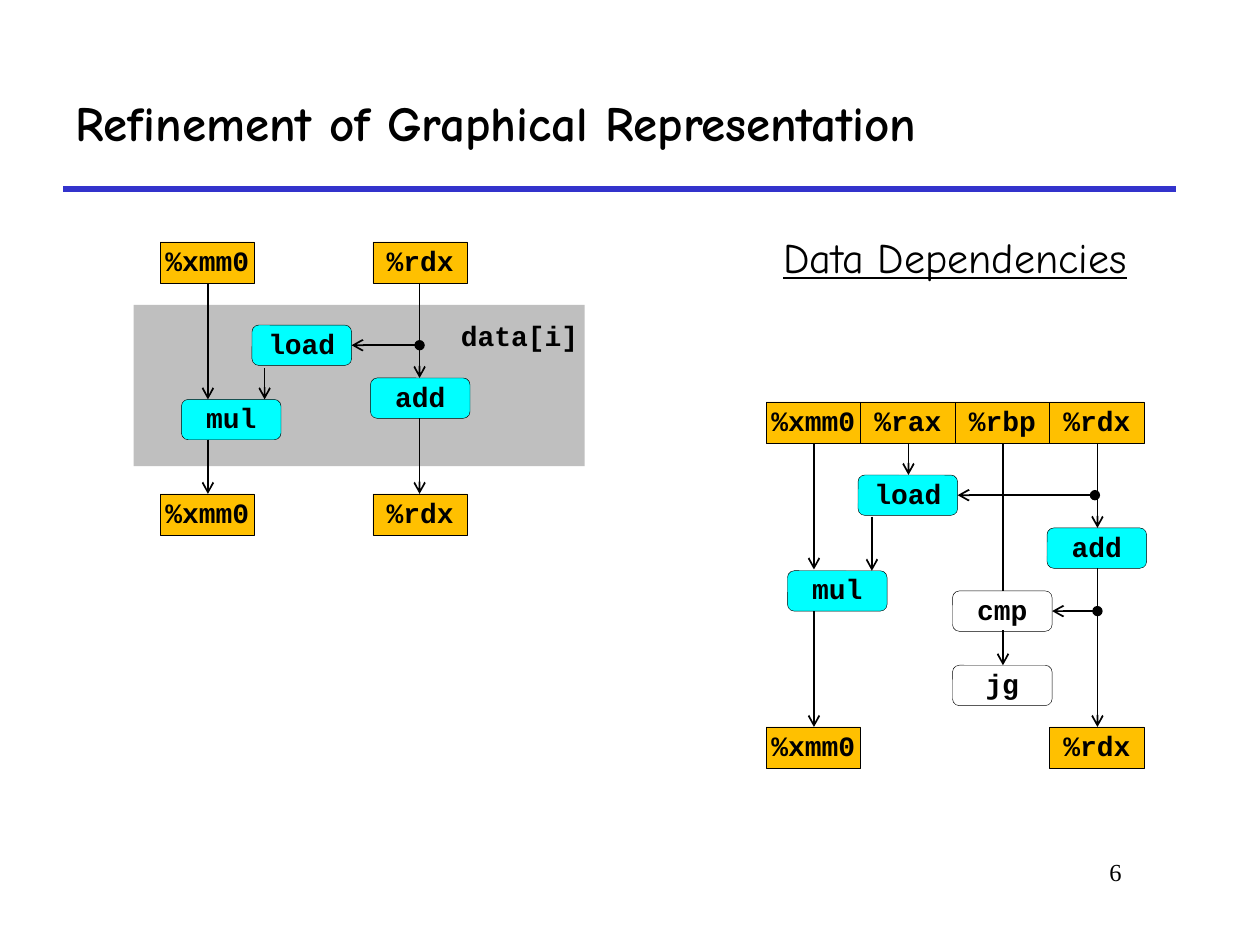
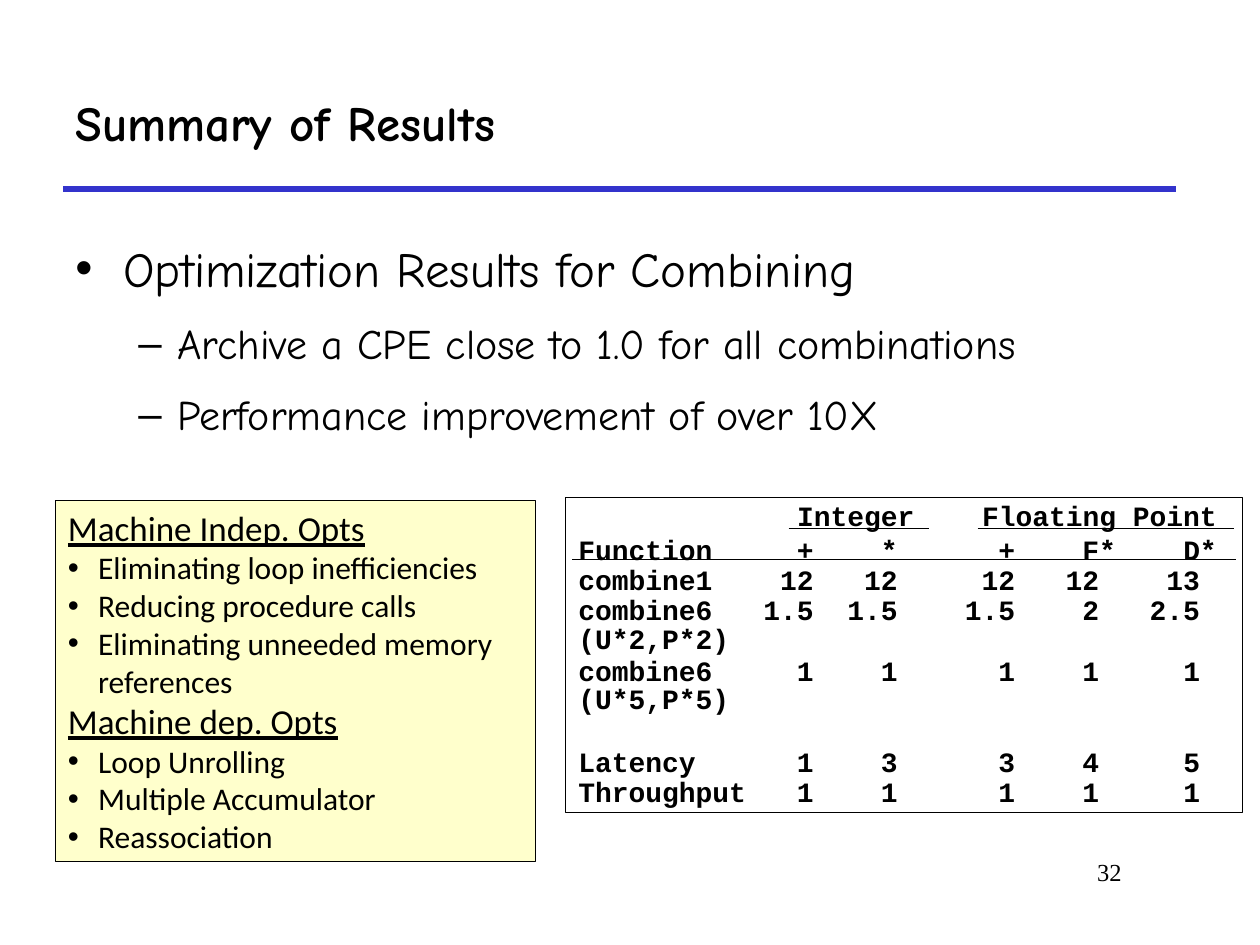
from dataclasses import dataclass
from typing import NamedTuple

from lxml import etree
from pptx import Presentation
from pptx.dml.color import RGBColor
from pptx.enum.shapes import MSO_CONNECTOR, MSO_SHAPE
from pptx.enum.text import MSO_ANCHOR, PP_ALIGN
from pptx.oxml.ns import qn
from pptx.util import Inches, Pt

STRAIGHT = MSO_CONNECTOR.STRAIGHT
RECTANGLE, ROUNDED = MSO_SHAPE.RECTANGLE, MSO_SHAPE.ROUNDED_RECTANGLE
TOP, MIDDLE = MSO_ANCHOR.TOP, MSO_ANCHOR.MIDDLE
LEFT, CENTER, RIGHT = PP_ALIGN.LEFT, PP_ALIGN.CENTER, PP_ALIGN.RIGHT


class TextStyle(NamedTuple):
    font: str
    size: int
    bold: bool = False
    underline: bool = False


class Theme:
    """Colours and text styles shared by the slides."""
    BLACK = RGBColor(0, 0, 0)
    WHITE = RGBColor(255, 255, 255)
    RULE = RGBColor(0x33, 0x33, 0xCC)
    REGISTER = RGBColor(0xFF, 0xC0, 0x00)
    OPERATION = RGBColor(0x00, 0xFF, 0xFF)
    BAND = RGBColor(0xBF, 0xBF, 0xBF)
    NOTE = RGBColor(0xFF, 0xFF, 0xCC)
    TITLE = TextStyle("Comic Neue", 28, bold=True)
    TOPIC = TextStyle("Comic Neue", 28)
    SUBTOPIC = TextStyle("Comic Neue", 24)
    CAPTION = TextStyle("Comic Neue", 24, underline=True)
    CODE = TextStyle("Courier New", 16, bold=True)
    NOTE_HEAD = TextStyle("Calibri", 20, underline=True)
    NOTE_ITEM = TextStyle("Calibri", 18)
    NUMBER = TextStyle("Times New Roman", 14)


class Box(NamedTuple):
    left: float
    top: float
    width: float
    height: float

    def lengths(self) -> list:
        return [Inches(value) for value in self]


class NodeKind(NamedTuple):
    preset: int
    fill: RGBColor
    width: float
    height: float


REGISTER = NodeKind(RECTANGLE, Theme.REGISTER, 0.75, 0.33)
OPERATION = NodeKind(ROUNDED, Theme.OPERATION, 0.79, 0.32)
CONTROL = OPERATION._replace(fill=Theme.WHITE)


class Node(NamedTuple):
    label: str
    left: float
    top: float
    kind: NodeKind


class Edge(NamedTuple):
    x1: float
    y1: float
    x2: float
    y2: float
    head: str = ""
    tail: str = "arrow"


@dataclass
class Line:
    """One paragraph of text."""
    text: str
    style: TextStyle
    align: int = LEFT
    spacing: float = 1.0
    before: int = 0
    bullet: str = ""
    margin: float = 0
    hanging: float = 0


# Shared drawing functions
def add_bullet(paragraph, line: Line) -> None:
    properties = paragraph._p.get_or_add_pPr()
    properties.set("marL", str(Inches(line.margin)))
    properties.set("indent", str(-Inches(line.hanging)))
    etree.SubElement(properties, qn("a:buFont")).set("typeface", "Arial")
    etree.SubElement(properties, qn("a:buChar")).set("char", line.bullet)


def write(frame, lines: list[Line]) -> None:
    for index, line in enumerate(lines):
        paragraph = frame.add_paragraph() if index else frame.paragraphs[0]
        if line.bullet:
            add_bullet(paragraph, line)
        paragraph.alignment = line.align
        paragraph.line_spacing = line.spacing
        if line.before:
            paragraph.space_before = Pt(line.before)
        run = paragraph.add_run()
        run.text = line.text
        font = run.font
        font.name, font.size = line.style.font, Pt(line.style.size)
        font.bold, font.underline = line.style.bold, line.style.underline
        font.color.rgb = Theme.BLACK


def add_text(slide, box: Box, lines: list[Line], anchor=TOP) -> None:
    frame = slide.shapes.add_textbox(*box.lengths()).text_frame
    frame.word_wrap = True
    frame.vertical_anchor = anchor
    write(frame, lines)


def add_panel(slide, preset, box: Box, fill: RGBColor, outline: float = 0):
    shape = slide.shapes.add_shape(preset, *box.lengths())
    shape.shadow.inherit = False
    shape.fill.solid()
    shape.fill.fore_color.rgb = fill
    if outline:
        shape.line.color.rgb = Theme.BLACK
        shape.line.width = Pt(outline)
    else:
        shape.line.fill.background()
    frame = shape.text_frame
    frame.word_wrap = True
    frame.vertical_anchor = TOP
    return shape


def add_edge(slide, edge: Edge, width: float = 1, color=Theme.BLACK) -> None:
    ends = [Inches(value) for value in edge[:4]]
    connector = slide.shapes.add_connector(STRAIGHT, *ends)
    connector.line.color.rgb = color
    connector.line.width = Pt(width)
    outline = connector.line._get_or_add_ln()
    for tag, kind in (("a:headEnd", edge.head), ("a:tailEnd", edge.tail)):
        if kind:
            etree.SubElement(outline, qn(tag)).set("type", kind)
    etree.SubElement(connector._element.spPr, qn("a:effectLst"))


def add_node(slide, node: Node) -> None:
    kind = node.kind
    box = Box(node.left, node.top, kind.width, kind.height)
    frame = add_panel(slide, kind.preset, box, kind.fill, 0.25).text_frame
    frame.margin_left = frame.margin_right = 0
    frame.margin_top = frame.margin_bottom = 0
    frame.vertical_anchor = MIDDLE
    write(frame, [Line(node.label, Theme.CODE, CENTER, 0.9)])


def add_graph(slide, nodes: list[Node], edges: list[Edge]) -> None:
    for node in nodes:
        add_node(slide, node)
    for edge in edges:
        add_edge(slide, edge)


def start_slide(presentation, title: str, number: int):
    slide = presentation.slides.add_slide(presentation.slide_layouts[6])
    add_edge(slide, Edge(0.5, 1.5, 9.33, 1.5, tail=""), 3, Theme.RULE)
    add_text(slide, Box(7.58, 6.75, 1.42, 0.5),
             [Line(str(number), Theme.NUMBER, RIGHT)])
    add_text(slide, Box(0.5, 0.5, 8.83, 1),
             [Line(title, Theme.TITLE, spacing=0.9)], MIDDLE)
    return slide


# Slide: refinement of the data-flow graph
def build_refinement(presentation) -> None:
    slide = start_slide(presentation, "Refinement of Graphical Representation", 6)

    # Full graph on the right
    names = ("%xmm0", "%rax", "%rbp", "%rdx")
    lefts = [6.08 + REGISTER.width * index for index in range(len(names))]
    xmm0, rax, rbp, rdx = (left + 0.38 for left in lefts)
    nodes = [Node(name, left, 3.19, REGISTER) for name, left in zip(names, lefts)]
    nodes += [
        Node("%xmm0", lefts[0], 5.77, REGISTER),
        Node("%rdx", lefts[3], 5.77, REGISTER),
        Node("load", 6.81, 3.77, OPERATION),
        Node("mul", 6.25, 4.53, OPERATION),
        Node("add", 8.31, 4.19, OPERATION),
        Node("cmp", 7.56, 4.69, CONTROL),
        Node("jg", 7.56, 5.28, CONTROL),
    ]
    add_graph(slide, nodes, [
        Edge(xmm0, 3.52, xmm0, 4.52),
        Edge(xmm0, 4.85, xmm0, 5.77),
        Edge(rax, 3.52, rax, 3.77),
        Edge(6.92, 4.1, 6.92, 4.53),
        Edge(rbp, 3.52, rbp, 4.69, tail=""),
        Edge(rbp, 5, rbp, 5.28),
        Edge(rdx, 4.85, 8.35, 4.85, head="oval"),
        Edge(8.69, 3.93, 7.6, 3.93, head="oval"),
        Edge(rdx, 3.52, rdx, 4.19),
        Edge(rdx, 4.51, rdx, 5.77),
    ])
    add_text(slide, Box(5.58, 1.83, 4, 0.46),
             [Line("Data Dependencies", Theme.CAPTION, CENTER, 0.9)])

    # Reduced graph on the left
    add_panel(slide, RECTANGLE, Box(1.06, 2.42, 3.58, 1.28), Theme.BAND)
    xmm0, rdx = 1.65, 3.33
    nodes = [Node(name, left, top, REGISTER)
             for top in (1.92, 3.92)
             for name, left in (("%xmm0", 1.27), ("%rdx", 2.96))]
    nodes += [
        Node("load", 2, 2.58, OPERATION),
        Node("mul", 1.44, 3.17, OPERATION),
        Node("add", 2.94, 3, OPERATION),
    ]
    add_graph(slide, nodes, [
        Edge(xmm0, 2.25, xmm0, 3.17),
        Edge(xmm0, 3.49, xmm0, 3.92),
        Edge(2.1, 2.92, 2.1, 3.17),
        Edge(rdx, 2.74, 2.79, 2.74, head="oval"),
        Edge(rdx, 2.25, rdx, 3),
        Edge(rdx, 3.32, rdx, 3.92),
    ])
    add_text(slide, Box(3.56, 2.51, 1.21, 0.34),
             [Line("data[i]", Theme.CODE, spacing=0.9)])


# Slide: summary of results
CHARACTER = 16 * 0.6 / 72  # width of one code character, in inches
COLUMN_CHARACTERS = (10.5, 3.5, 6, 6, 6, 6)
INSET_COLUMNS = (2, 4, 5)  # numbers stop one character before the edge
ROW_HEIGHT = 0.24
RESULT_ROWS = [
    (1, ["", "Integer", "", "Floating Point", "", ""]),
    (1, ["Function", "+", "*", "+", "F*", "D*"]),
    (1, ["combine1", "12", "12", "12", "12", "13"]),
    (2, ["combine6\n(U*2,P*2)", "1.5", "1.5", "1.5", "2", "2.5"]),
    (3, ["combine6\n(U*5,P*5)", "1", "1", "1", "1", "1"]),
    (1, ["Latency", "1", "3", "3", "4", "5"]),
    (1, ["Throughput", "1", "1", "1", "1", "1"]),
]


def fill_cell(cell, text: str, align, inset: float) -> None:
    cell.fill.background()
    cell.margin_left = cell.margin_top = cell.margin_bottom = 0
    cell.margin_right = Inches(inset)
    cell.vertical_anchor = TOP
    if text:
        write(cell.text_frame, [Line(part, Theme.CODE, align, 0.9)
                                for part in text.split("\n")])
    else:
        paragraph = cell.text_frame.paragraphs[0]
        end = etree.SubElement(paragraph._p, qn("a:endParaRPr"))
        end.set("sz", str(Theme.CODE.size * 100))


def add_results(slide) -> None:
    add_panel(slide, RECTANGLE, Box(4.49, 3.95, 5.37, 2.5), Theme.WHITE, 0.75)
    lines = sum(count for count, _ in RESULT_ROWS)
    box = Box(4.59, 4, sum(COLUMN_CHARACTERS) * CHARACTER, lines * ROW_HEIGHT)
    table = slide.shapes.add_table(
        len(RESULT_ROWS), len(COLUMN_CHARACTERS), *box.lengths()).table
    table.first_row = table.horz_banding = False
    for column, characters in zip(table.columns, COLUMN_CHARACTERS):
        column.width = Inches(characters * CHARACTER)
    for first, last in ((1, 2), (3, 5)):
        table.cell(0, first).merge(table.cell(0, last))
    for row, (count, texts) in enumerate(RESULT_ROWS):
        table.rows[row].height = Inches(count * ROW_HEIGHT)
        for column, text in enumerate(texts):
            # The two-letter headings and the group names reach the edge
            inset = column in INSET_COLUMNS and row > 0 and "*" not in text[1:]
            fill_cell(table.cell(row, column), text, RIGHT if column else LEFT,
                      CHARACTER if inset else 0)
    for x1, x2, y in ((4.54, 9.81, 4.44), (6.26, 7.37, 4.19), (7.76, 9.79, 4.19)):
        add_edge(slide, Edge(x1, y, x2, y, tail=""), 0.25)


def build_summary(presentation) -> None:
    slide = start_slide(presentation, "Summary of Results", 32)
    add_results(slide)

    # Main points
    points = [Line("Optimization Results for Combining", Theme.TOPIC, spacing=1.2,
                   bullet="•", margin=0.38, hanging=0.38)]
    points += [Line(text, Theme.SUBTOPIC, spacing=1.2, before=6,
                    bullet="–", margin=0.81, hanging=0.31)
               for text in ("Archive a CPE close to 1.0 for all combinations",
                            "Performance improvement of over 10X")]
    add_text(slide, Box(0.5, 1.75, 9.08, 4.83), points)

    # Optimization list
    optimizations = {
        "Machine Indep. Opts": ["Eliminating loop inefficiencies",
                                "Reducing procedure calls",
                                "Eliminating unneeded memory references"],
        "Machine dep. Opts": ["Loop Unrolling", "Multiple Accumulator",
                              "Reassociation"],
    }
    lines = []
    for heading, items in optimizations.items():
        lines.append(Line(heading, Theme.NOTE_HEAD))
        lines += [Line(item, Theme.NOTE_ITEM, bullet="•", margin=0.24, hanging=0.24)
                  for item in items]
    note = add_panel(slide, RECTANGLE, Box(0.44, 3.97, 3.81, 2.87), Theme.NOTE, 0.75)
    write(note.text_frame, lines)


def main() -> None:
    presentation = Presentation()
    presentation.slide_width, presentation.slide_height = Inches(10), Inches(7.5)
    build_refinement(presentation)
    build_summary(presentation)
    presentation.save("out.pptx")


if __name__ == "__main__":
    main()
